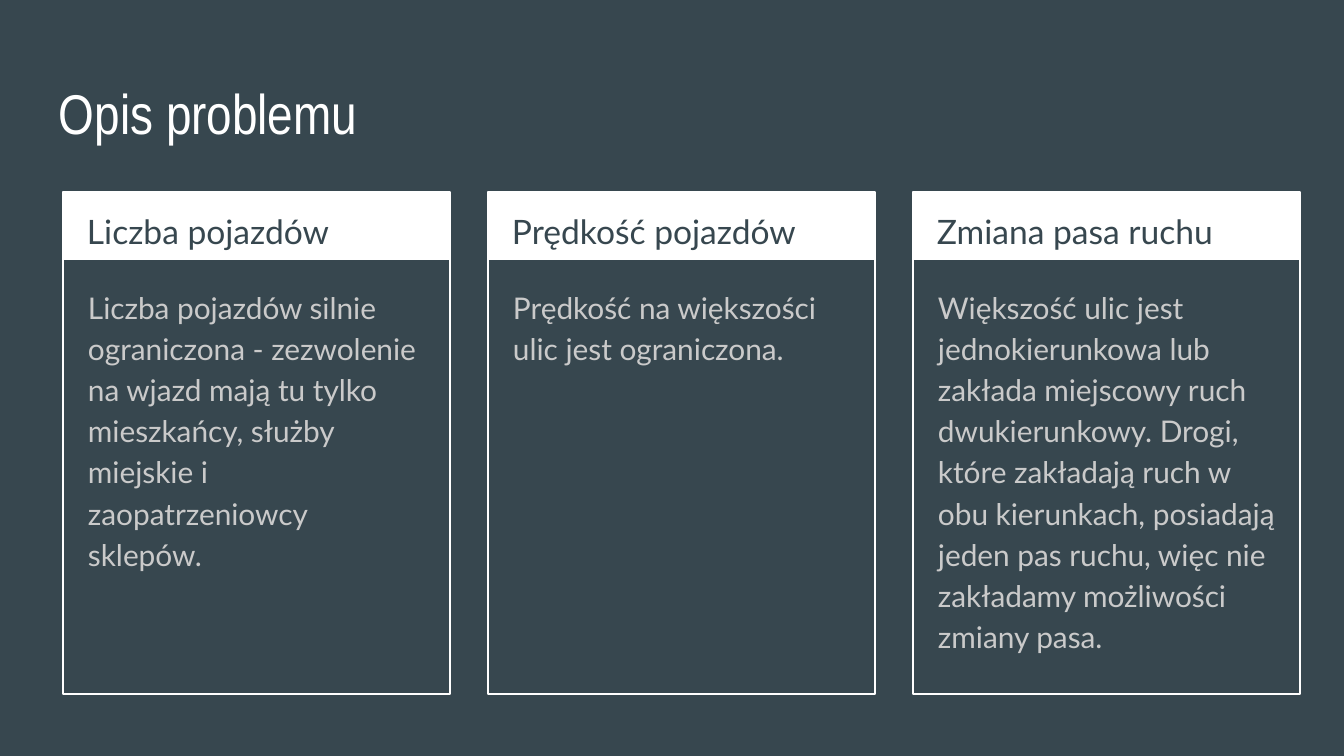
from dataclasses import dataclass

from pptx import Presentation
from pptx.dml.color import RGBColor as Rgb
from pptx.enum.shapes import MSO_SHAPE as Shape
from pptx.enum.text import MSO_ANCHOR as Anchor, MSO_AUTO_SIZE as Fit, PP_ALIGN as Align
from pptx.util import Pt

SCALE = 914400 / 134.4


def px(*sizes):
    return [round(size * SCALE) for size in sizes]


@dataclass(frozen=True)
class Theme:
    back: str = "37474F"
    light: str = "FFFFFF"
    soft: str = "CACACA"
    title: int = 30
    head: int = 18
    body: int = 16
    line: float = 0.75
    title_font: str = "Arial Narrow"
    font: str = "Lato"


def write(shape, text, *, size, color, font, space=1.0, after=0, anchor=Anchor.TOP):
    frame = shape.text_frame
    frame.word_wrap, frame.auto_size = True, Fit.NONE
    frame.vertical_anchor = anchor
    inset, = px(13)
    frame.margin_left = frame.margin_right = inset
    frame.margin_top = frame.margin_bottom = inset
    para = frame.paragraphs[0]
    para.alignment, para.line_spacing = Align.LEFT, space
    para.space_before, para.space_after = Pt(0), Pt(after)
    run = para.add_run()
    run.text = text
    run.font.size, run.font.name = Pt(size), font
    run.font.color.rgb = Rgb.from_string(color)


class Deck:
    """Draws styled elements on the current slide."""

    def __init__(self, theme, wide, high):
        self.theme = theme
        self.file = Presentation()
        self.file.slide_width, self.file.slide_height = px(wide, high)
        self.slide = None

    def page(self):
        self.slide = self.file.slides.add_slide(self.file.slide_layouts[5])
        fill = self.slide.background.fill
        fill.solid()
        fill.fore_color.rgb = Rgb.from_string(self.theme.back)

    def title(self, text, *box):
        shape = self.slide.shapes.title
        shape.left, shape.top, shape.width, shape.height = px(*box)
        write(shape, text, size=self.theme.title, color=self.theme.light,
              font=self.theme.title_font)

    def rect(self, group, *box, fill=None, line=None):
        shape = group.shapes.add_shape(Shape.RECTANGLE, *px(*box))
        shape.shadow.inherit = False
        if fill:
            shape.fill.solid()
            shape.fill.fore_color.rgb = Rgb.from_string(fill)
        else:
            shape.fill.background()
        if line:
            shape.line.color.rgb = Rgb.from_string(line)
            shape.line.width = Pt(self.theme.line)
        else:
            shape.line.fill.background()

    def text(self, text, *box, **style):
        shape = self.slide.shapes.add_textbox(*px(*box))
        write(shape, text, font=self.theme.font, space=1.15, **style)

    def card(self, left, top, head, body):
        theme = self.theme
        group = self.slide.shapes.add_group_shape()
        self.rect(group, left, top, 387, 68, fill=theme.light)
        self.rect(group, left, top, 387, 502, line=theme.light)
        self.text(head, left + 11, top, 367, 67, size=theme.head, color=theme.back)
        self.text(body, left + 12, top + 79, 364, 411,
                  size=theme.body, color=theme.soft, after=16)


CARDS = [
    ("Liczba pojazdów",
     "Liczba pojazdów silnie ograniczona - zezwolenie na wjazd mają tu tylko "
     "mieszkańcy, służby miejskie i zaopatrzeniowcy sklepów."),
    ("Prędkość pojazdów", "Prędkość na większości ulic jest ograniczona."),
    ("Zmiana pasa ruchu",
     "Większość ulic jest jednokierunkowa lub zakłada miejscowy ruch "
     "dwukierunkowy. Drogi, które zakładają ruch w obu kierunkach, posiadają "
     "jeden pas ruchu, więc nie zakładamy możliwości zmiany pasa."),
]


def main():
    deck = Deck(Theme(), 1344, 756)
    deck.page()
    deck.title("Opis problemu", 46, 66, 1253, 85)
    for col, (head, body) in enumerate(CARDS):
        deck.card(63 + 425 * col, 192, head, body)
    deck.file.save("out.pptx")


if __name__ == "__main__":
    main()
